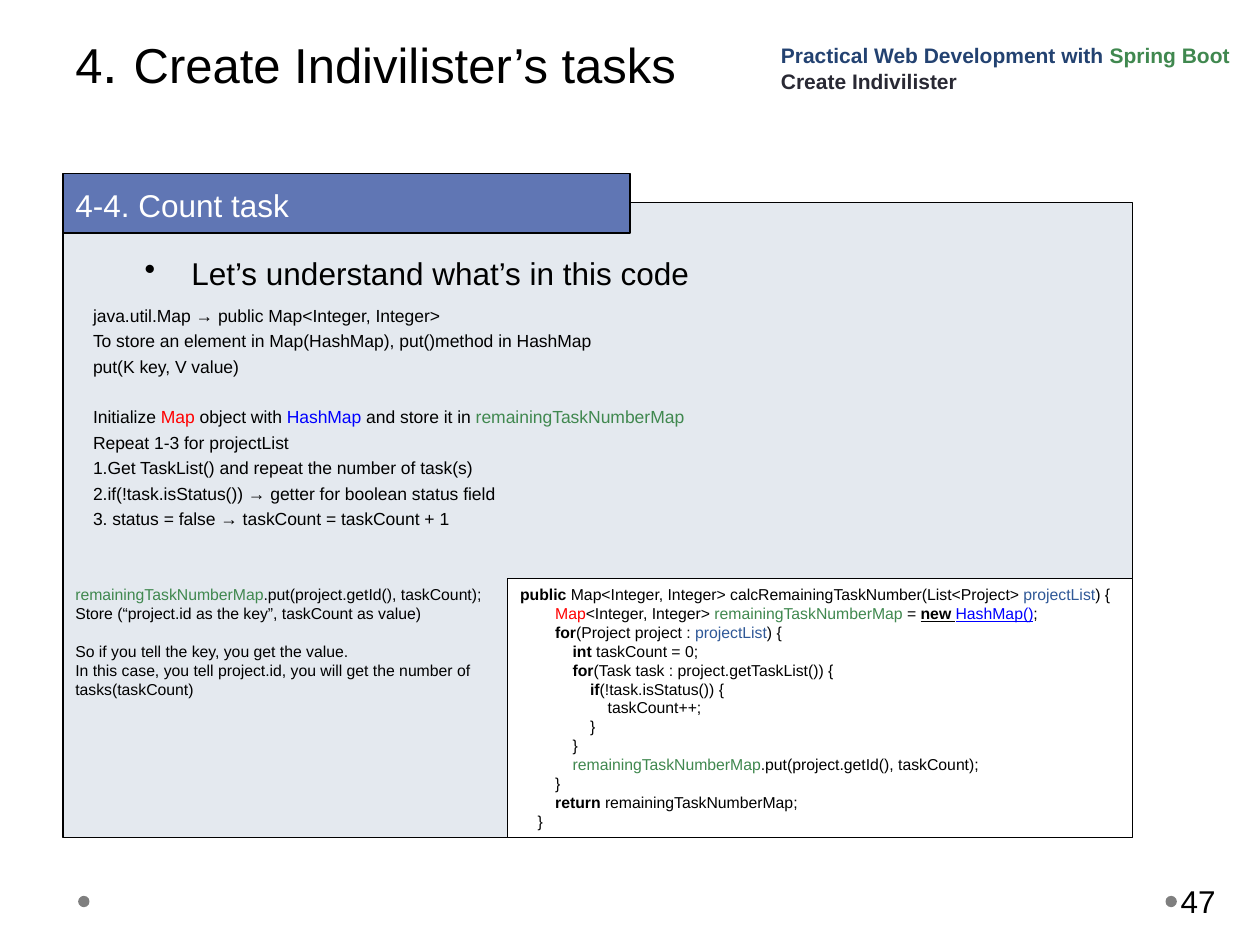
import pptx
import pptx.dml.color
import pptx.enum.shapes
import pptx.enum.text
import pptx.oxml.ns
import pptx.util
from lxml import etree

Inches = pptx.util.Inches
Pt = pptx.util.Pt
RGBColor = pptx.dml.color.RGBColor
Shape = pptx.enum.shapes.MSO_SHAPE
Anchor = pptx.enum.text.MSO_ANCHOR

BLACK = RGBColor(0x00, 0x00, 0x00)
WHITE = RGBColor(0xFF, 0xFF, 0xFF)
GREY = RGBColor(0x7F, 0x7F, 0x7F)
PANEL = RGBColor(0xE4, 0xE9, 0xEF)
BANNER = RGBColor(0x60, 0x76, 0xB4)
NAVY = RGBColor(0x23, 0x42, 0x71)
CHARCOAL = RGBColor(0x29, 0x29, 0x34)
STEEL = RGBColor(0x2F, 0x58, 0x97)
GREEN = RGBColor(0x40, 0x88, 0x4F)
RED = RGBColor(0xFF, 0x00, 0x00)
BLUE = RGBColor(0x00, 0x00, 0xFF)


class Deck:
    font = "Arial"
    line_width = Pt(0.75)

    def __init__(self, width, height):
        self.prs = pptx.Presentation()
        self.prs.slide_width = Inches(width)
        self.prs.slide_height = Inches(height)
        self.s = self.prs.slides.add_slide(self.prs.slide_layouts[6])

    def shape(self, kind, box, fill, line=None):
        sp = self.s.shapes.add_shape(kind, *map(Inches, box))
        sp.shadow.inherit = False
        sp.fill.solid()
        sp.fill.fore_color.rgb = fill
        if line is None:
            sp.line.fill.background()
        else:
            sp.line.color.rgb = line
            sp.line.width = self.line_width
        return sp

    def textbox(self, box, paragraphs, size, **options):
        sp = self.s.shapes.add_textbox(*map(Inches, box))
        return self.fill_text(sp, paragraphs, size, **options)

    def fill_text(self, sp, paragraphs, size, anchor=Anchor.TOP, left=0.1, top=0.05,
                  space=0, gaps=None):
        tf = sp.text_frame
        tf.word_wrap = True
        tf.vertical_anchor = anchor
        tf.margin_left, tf.margin_top = Inches(left), Inches(top)
        for i, runs in enumerate(paragraphs):
            p = tf.paragraphs[0] if i == 0 else tf.add_paragraph()
            p.alignment = pptx.enum.text.PP_ALIGN.LEFT
            p.space_before = Pt((gaps or {}).get(i, space if i else 0))
            for run in [runs] if isinstance(runs, str) else runs:
                self.run(p, size, *([run] if isinstance(run, str) else run))
        return sp

    def run(self, p, size, text, color=BLACK, style=""):
        r = p.add_run()
        r.text = text
        r.font.name = self.font
        r.font.size = Pt(size)
        r.font.color.rgb = color
        r.font.bold = "b" in style
        r.font.underline = "u" in style

    def bullet(self, sp, indent):
        pPr = sp.text_frame.paragraphs[0]._p.get_or_add_pPr()
        pPr.set("marL", str(Inches(indent)))
        pPr.set("indent", str(-Inches(indent)))
        etree.SubElement(pPr, pptx.oxml.ns.qn("a:buChar")).set("char", "•")


def main():
    deck = Deck(10, 7.5)

    for x in (9.25, 0.62):
        deck.shape(Shape.OVAL, (x, 7.11, 0.09, 0.09), GREY)
    deck.textbox((9.34, 6.95, 0.61, 0.4), ["47"], 18, anchor=Anchor.MIDDLE, left=0.03)

    deck.shape(Shape.RECTANGLE, (0.5, 1.61, 8.49, 5.04), PANEL, BLACK)

    title = deck.textbox((0.5, 0, 9, 1.61),
                         [["4", ". ", "Create Indivilister’s tasks"]], 28, top=0.22)
    title.text_frame.paragraphs[0].runs[1].font.size = Pt(32)

    banner = deck.shape(Shape.RECTANGLE, (0.5, 1.38, 4.5, 0.47), BANNER, BLACK)
    deck.fill_text(banner, [[("4-4. Count task", WHITE)]], 18,
                   anchor=Anchor.MIDDLE, top=0.07)

    heading = deck.textbox((1.05, 1.97, 7.24, 0.4),
                           ["Let’s understand what’s in this code"], 18)
    deck.bullet(heading, 0.37)

    deck.textbox((6.1, 0.24, 3.9, 0.55), [
        [("Practical Web Development with ", NAVY, "b"), ("Spring Boot", GREEN, "b")],
        [("Create Indivilister", CHARCOAL, "b")],
    ], 12, anchor=Anchor.BOTTOM)

    code = deck.shape(Shape.RECTANGLE, (4.03, 4.59, 4.96, 2.06), WHITE, BLACK)
    deck.fill_text(code, [
        [("public", BLACK, "b"),
         " Map<Integer, Integer> calcRemainingTaskNumber(List<Project> ",
         ("projectList", STEEL), ") {"],
        [("        Map", RED), "<Integer, Integer> ", ("remainingTaskNumberMap ", GREEN),
         "= ", ("new", BLACK, "bu"), (" ", BLACK, "u"), ("HashMap()", BLUE, "u"), ";"],
        [("        for", BLACK, "b"), "(Project project : ", ("projectList", STEEL), ") {"],
        [("            int", BLACK, "b"), " taskCount = 0;"],
        [("            for", BLACK, "b"), "(Task task : project.getTaskList()) {"],
        [("                if", BLACK, "b"), "(!task.isStatus()) {"],
        "                    taskCount++;",
        "                }",
        "            }",
        [("            remainingTaskNumberMap", GREEN), ".put(project.getId(), taskCount);"],
        "        }",
        [("        return", BLACK, "b"), " remainingTaskNumberMap;"],
        "    }",
    ], 9)

    deck.textbox((0.64, 2.37, 5.34, 2.06), [
        "java.util.Map → public Map<Integer, Integer>",
        "To store an element in Map(HashMap), put()method in HashMap",
        "put(K key, V value)",
        ["Initialize ", ("Map", RED), " object with ", ("HashMap", BLUE),
         " and store it in ", ("remainingTaskNumberMap", GREEN)],
        "Repeat 1-3 for projectList",
        "1.Get TaskList() and repeat the number of task(s)",
        "2.if(!task.isStatus()) → getter for boolean status field",
        "3. status = false → taskCount = taskCount + 1",
    ], 10, space=2.5, gaps={3: 17})

    deck.textbox((0.5, 4.59, 3.73, 1.01), [
        [("remainingTaskNumberMap", GREEN), ".put(project.getId(), taskCount);"],
        "Store (“project.id as the key”, taskCount as value)",
        "So if you tell the key, you get the value.",
        "In this case, you tell project.id, you will get the number of tasks(taskCount)",
    ], 9, gaps={2: 11})

    deck.prs.save("out.pptx")


if __name__ == "__main__":
    main()
